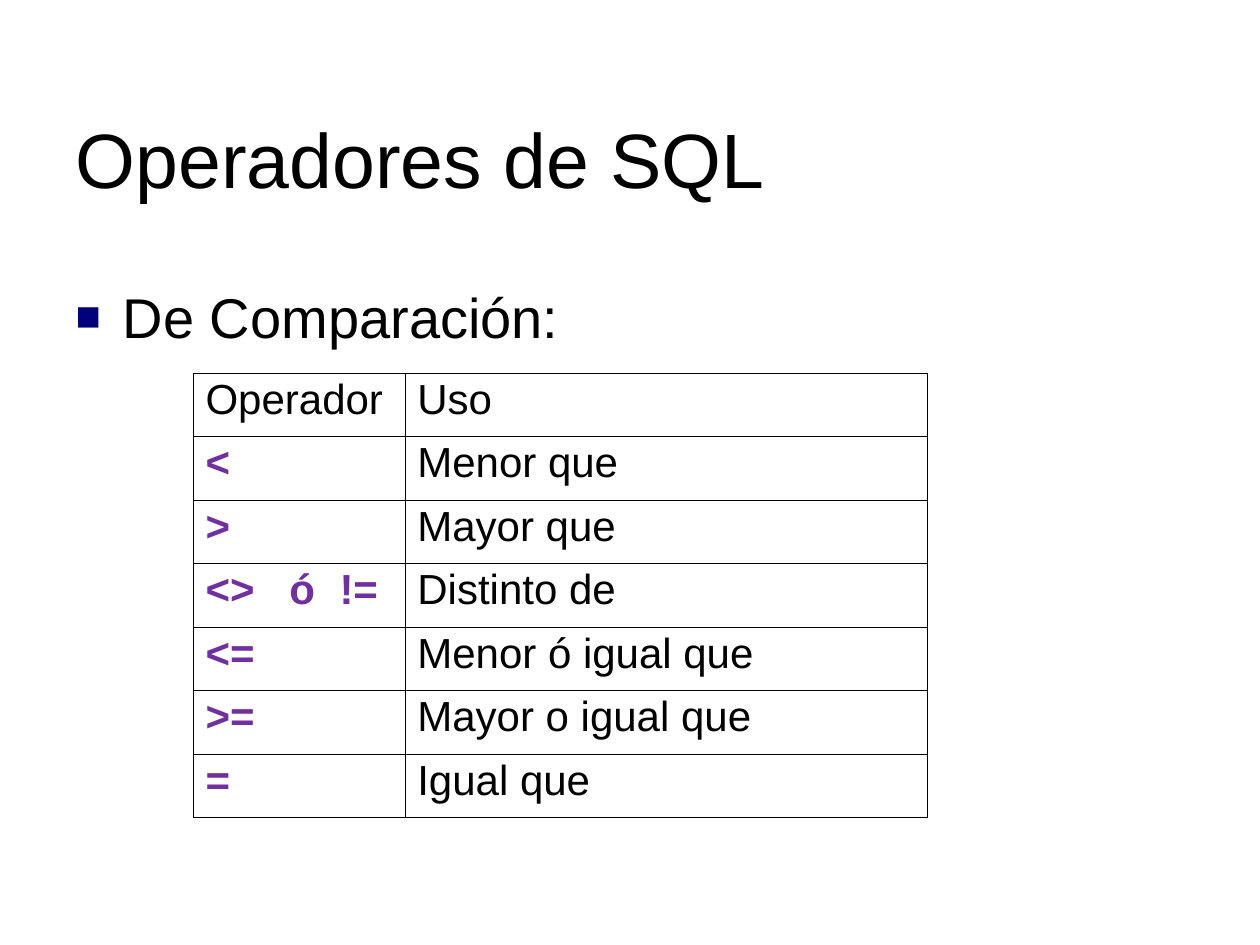
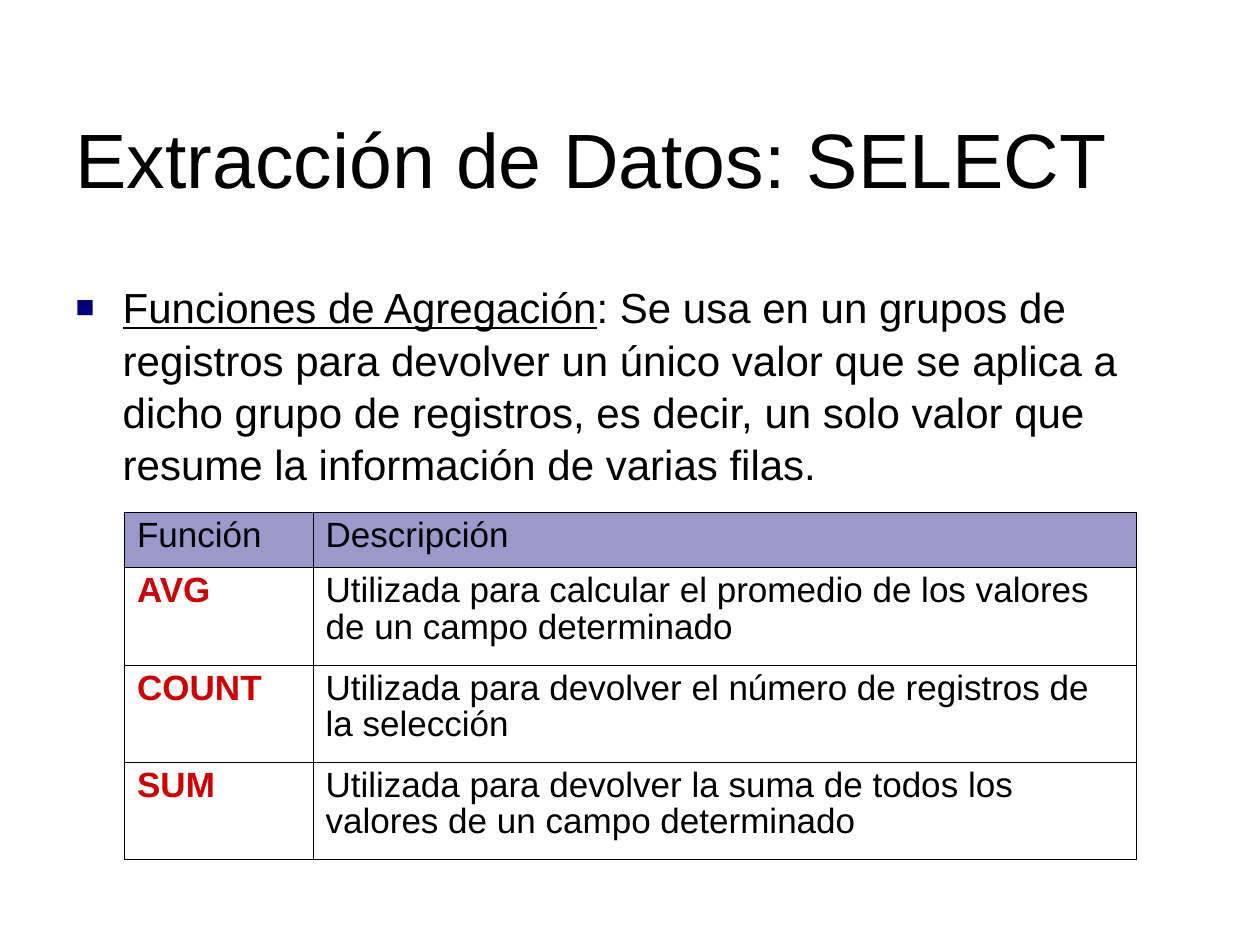
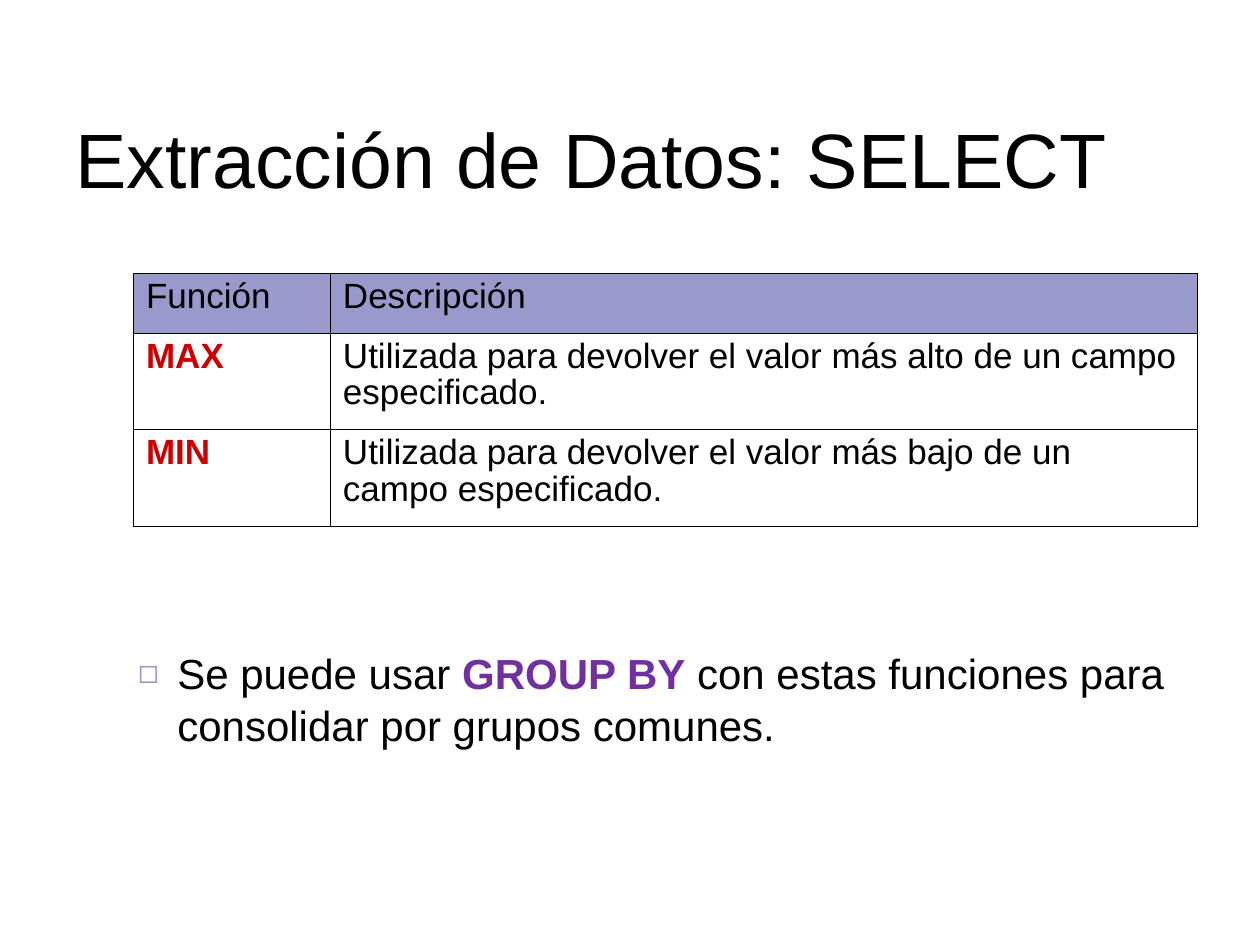
from dataclasses import dataclass

from lxml import etree
from pptx import Presentation
from pptx import util as u
from pptx.dml.color import RGBColor
from pptx.enum import text
from pptx.oxml import ns


@dataclass(frozen=True)
class Theme:
    """Colours, type sizes and line widths shared by the slides."""
    font: str = "Arial"
    ink: str = "000000"
    navy: str = "00007D"
    lilac: str = "9999CC"
    purple: str = "7030A0"
    red: str = "CC0000"
    title: int = 44
    lead: int = 32
    body: int = 24
    cell: int = 20
    outer: float = 0.5
    inner: float = 0.25


@dataclass(frozen=True)
class Bullet:
    """Mark, colour, relative size and indents of a list level."""
    char: str
    color: str
    percent: int
    margin: float
    hanging: float
    level: int


T = Theme()
SQUARE = Bullet("■", T.navy, 75, 0.95, 0.95, 0)
HOLLOW = Bullet("◻", T.lilac, 80, 2.05, 0.79, 1)
HEADER = ("Función", "Descripción")


def add_child(parent, tag, **attrs):
    """Append a DrawingML element to parent."""
    return etree.SubElement(parent, ns.qn(tag), attrs)


def set_font(font, size, color=T.ink, bold=False):
    """Apply the theme font with a size, colour and weight."""
    font.name, font.size, font.bold = T.font, u.Pt(size), bold
    font.color.rgb = RGBColor.from_string(color)


def place(sp, left, top, width, height):
    """Move and size a shape, in centimetres."""
    sp.left, sp.top = u.Cm(left), u.Cm(top)
    sp.width, sp.height = u.Cm(width), u.Cm(height)


def add_slide(prs, title):
    """Add a slide with the shared title style."""
    s = prs.slides.add_slide(prs.slide_layouts[1])
    sp = s.shapes.title
    place(sp, 1.27, 1.27, 22.86, 3.81)
    tf = sp.text_frame
    tf.auto_size = text.MSO_AUTO_SIZE.NONE
    tf.vertical_anchor = text.MSO_ANCHOR.MIDDLE
    p = tf.paragraphs[0]
    p.alignment = text.PP_ALIGN.LEFT
    set_font(p.font, T.title)
    p.add_run().text = title
    return s


def add_bullet(p, bullet):
    """Give a paragraph its bullet and hanging indent."""
    p.level = bullet.level
    pPr = p._p.get_or_add_pPr()
    pPr.set("marL", str(u.Cm(bullet.margin)))
    pPr.set("indent", str(-u.Cm(bullet.hanging)))
    color = add_child(pPr, "a:buClr")
    add_child(color, "a:srgbClr", val=bullet.color)
    add_child(pPr, "a:buSzPct", val=str(bullet.percent * 1000))
    add_child(pPr, "a:buFont", typeface=T.font)
    add_child(pPr, "a:buChar", char=bullet.char)


def fill_body(s, box, bullet, size, *parts):
    """Write one bulleted paragraph in the body and return its runs."""
    sp = s.placeholders[1]
    place(sp, *box)
    tf = sp.text_frame
    tf.auto_size = text.MSO_AUTO_SIZE.NONE
    p = tf.paragraphs[0]
    add_bullet(p, bullet)
    p.space_before = u.Pt(0)
    p.line_spacing = 1.04
    set_font(p.font, size)
    runs = []
    for part in parts:
        r = p.add_run()
        r.text = part
        runs.append(r)
    return runs


def set_borders(cell, widths):
    """Draw the left, right, top and bottom borders of a cell."""
    tcPr = cell._tc.get_or_add_tcPr()
    for side, width in zip("LRTB", widths):
        ln = add_child(tcPr, f"a:ln{side}", w=str(u.Pt(width)))
        fill = add_child(ln, "a:solidFill")
        add_child(fill, "a:srgbClr", val=T.ink)


def add_tabs(p, stops):
    """Set left tab stops, in centimetres."""
    tabs = add_child(p._p.get_or_add_pPr(), "a:tabLst")
    for stop in stops:
        add_child(tabs, "a:tab", pos=str(u.Cm(stop)), algn="l")


def add_grid(s, left, top, widths, heights, rows, size, key_color,
             header_fill=None, tabs=()):
    """Add a ruled table whose first column holds bold keys."""
    n_rows, n_cols = len(heights), len(widths)
    frame = s.shapes.add_table(n_rows, n_cols, u.Cm(left), u.Cm(top),
                               u.Cm(sum(widths)), u.Cm(sum(heights)))
    table = frame.table
    for column, width in zip(table.columns, widths):
        column.width = u.Cm(width)
    for i, (row, height) in enumerate(zip(rows, heights)):
        table.rows[i].height = u.Cm(height)
        for j, value in enumerate(row):
            cell = table.cell(i, j)
            edges = (j == 0, j == n_cols - 1, i == 0, i == n_rows - 1)
            set_borders(cell, [T.outer if e else T.inner for e in edges])
            if i == 0 and header_fill:
                cell.fill.solid()
                cell.fill.fore_color.rgb = RGBColor.from_string(header_fill)
            else:
                cell.fill.background()
            p = cell.text_frame.paragraphs[0]
            if "\t" in value:
                add_tabs(p, tabs)
            p.line_spacing = 0.93
            is_key = i > 0 and j == 0
            set_font(p.font, size, key_color if is_key else T.ink, is_key)
            p.add_run().text = value


def add_operators(prs):
    """Build the comparison operators slide."""
    s = add_slide(prs, "Operadores de SQL")
    fill_body(s, (1.27, 5.51, 11.23, 10.8), SQUARE, T.lead, "De Comparación:")
    rows = [
        ("Operador", "Uso"),
        ("<", "Menor que"),
        (">", "Mayor que"),
        ("<>\tó\t!=", "Distinto de"),
        ("<=", "Menor ó igual que"),
        (">=", "Mayor o igual que"),
        ("=", "Igual que"),
    ]
    add_grid(s, 3.89, 7.52, (4.27, 10.54), [1.28] * len(rows), rows,
             T.body, T.purple, tabs=(1.69, 2.7))


def add_aggregates(prs):
    """Build the slide that introduces aggregate functions."""
    s = add_slide(prs, "Extracción de Datos: SELECT")
    term, _ = fill_body(
        s, (1.27, 5.51, 22.83, 12.42), SQUARE, T.body,
        "Funciones de Agregación",
        ": Se usa en un grupos de registros para devolver un único valor que "
        "se aplica a dicho grupo de registros, es decir, un solo valor que "
        "resume la información de varias filas.")
    term.font.underline = True
    rows = [
        HEADER,
        ("AVG", "Utilizada para calcular el promedio de los valores de un "
                "campo determinado"),
        ("COUNT", "Utilizada para devolver el número de registros de la "
                  "selección"),
        ("SUM", "Utilizada para devolver la suma de todos los valores de un "
                "campo determinado"),
    ]
    add_grid(s, 2.51, 10.33, (3.8, 16.6), [1.11] + [1.96] * 3, rows,
             T.cell, T.red, T.lilac)


def add_extremes(prs):
    """Build the slide on MAX, MIN and grouping."""
    s = add_slide(prs, "Extracción de Datos: SELECT")
    _, clause, _ = fill_body(
        s, (1.27, 12.88, 22.83, 4.85), HOLLOW, T.body,
        "Se puede usar ", "GROUP BY",
        " con estas funciones para consolidar por grupos comunes.")
    set_font(clause.font, T.body, T.purple, True)
    rows = [
        HEADER,
        ("MAX", "Utilizada para devolver el valor más alto de un campo "
                "especificado."),
        ("MIN", "Utilizada para devolver el valor más bajo de un campo "
                "especificado."),
    ]
    add_grid(s, 2.69, 5.51, (3.97, 17.47), [1.2] + [1.95] * 2, rows,
             T.cell, T.red, T.lilac)


def main():
    """Build and save the deck."""
    prs = Presentation()
    prs.slide_width, prs.slide_height = u.Cm(25.4), u.Cm(19.05)
    add_operators(prs)
    add_aggregates(prs)
    add_extremes(prs)
    prs.save("out.pptx")


if __name__ == "__main__":
    main()
